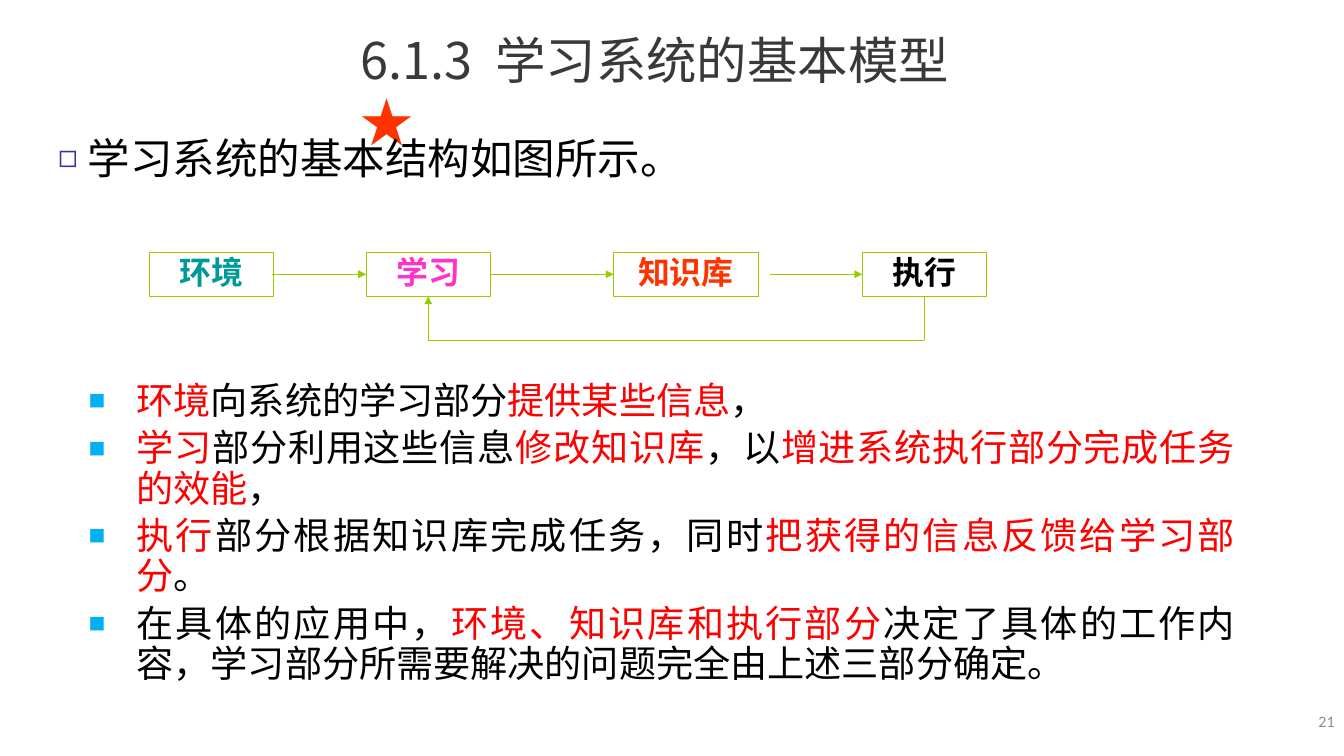
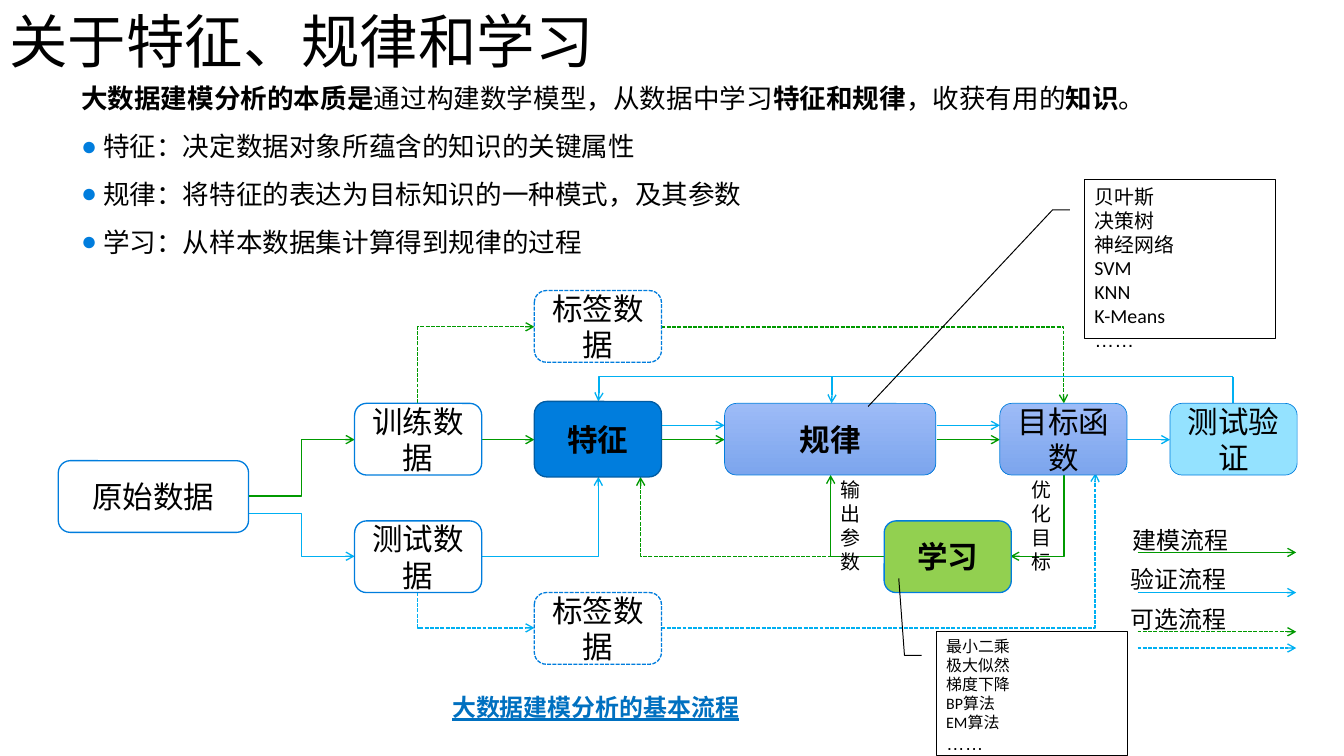
"""Build two slides on learning systems and the big-data modelling workflow."""
from lxml import etree
from pptx import Presentation
from pptx import util as u
from pptx.dml.color import RGBColor
from pptx.enum import dml, shapes, text
from pptx.oxml.ns import qn

C = {
    "black": "000000", "white": "FFFFFF", "title": "3B3838", "number": "8C8C8C",
    "star": "FF3300", "red": "FF0000", "teal": "009999", "pink": "FF33CC",
    "lime": "99CC00", "navy": "333399", "sky": "00B0F2", "blue": "007DDD",
    "deep": "005CA3", "green": "009900", "leaf": "92D050", "ice": "94E2FF",
    "top": "9DBBF7", "bottom": "7CA5ED", "caption": "0070C0",
}
CJK = "Noto Sans CJK SC"
BODY = "Calibri"
ALIGN = {"l": text.PP_ALIGN.LEFT, "c": text.PP_ALIGN.CENTER,
         "r": text.PP_ALIGN.RIGHT, "j": text.PP_ALIGN.JUSTIFY}
ANCHOR = {"t": text.MSO_ANCHOR.TOP, "m": text.MSO_ANCHOR.MIDDLE}
SHAPE = shapes.MSO_SHAPE
DASH = dml.MSO_LINE.SQUARE_DOT
DOWN_FIRST, MIDWAY, ACROSS_FIRST = 0, 50000, 99900


def rgb(name):
    return RGBColor.from_string(C[name])


def add_xml(parent, tag, **attrs):
    return etree.SubElement(parent, qn(tag), attrs)


def add_bullet(p, char, color, hang, percent):
    pPr = p._p.get_or_add_pPr()
    pPr.set("marL", str(u.Inches(hang)))
    pPr.set("indent", str(-u.Inches(hang)))
    add_xml(add_xml(pPr, "a:buClr"), "a:srgbClr", val=C[color])
    add_xml(pPr, "a:buSzPct", val=str(percent * 1000))
    add_xml(pPr, "a:buFont", typeface="Arial")
    add_xml(pPr, "a:buChar", char=char)


def add_run(p, content, font=CJK, size=18, color="black", bold=False, underline=False):
    r = p.add_run()
    r.text = content
    r.font.name, r.font.size = font, u.Pt(size)
    r.font.bold, r.font.underline = bold, underline
    r.font.color.rgb = rgb(color)
    add_xml(r._r.get_or_add_rPr(), "a:ea", typeface="Arial" if font == "Arial" else BODY)


def write(sp, lines, align="l", anchor="t", inset=(0.1, 0.05), wrap=True,
          spacing=None, before=0, bullet=None, emph=None, **fmt):
    """Fill a shape with paragraphs; parts between asterisks take the emph format."""
    tf = sp.text_frame
    tf.word_wrap, tf.vertical_anchor = wrap, ANCHOR[anchor]
    tf.margin_left = tf.margin_right = u.Inches(inset[0])
    tf.margin_top = tf.margin_bottom = u.Inches(inset[1])
    for i, line in enumerate(lines):
        p = tf.add_paragraph() if i else tf.paragraphs[0]
        p.alignment = ALIGN[align]
        p._p.get_or_add_pPr().set("hangingPunct", "0")
        if spacing:
            p.line_spacing = spacing
        if before and i:
            p.space_before = u.Pt(before)
        if bullet:
            add_bullet(p, *bullet)
        for k, part in enumerate(line.split("*")):
            if part:
                add_run(p, part, **{**fmt, **((emph or {}) if k % 2 else {})})


def add_text(s, at, lines, **fmt):
    sp = s.shapes.add_textbox(*map(u.Inches, at))
    write(sp, lines, **fmt)
    return sp


def add_box(s, at, lines, kind=SHAPE.ROUNDED_RECTANGLE, fill="white", line="blue",
            width=1, dash=None, **fmt):
    sp = s.shapes.add_shape(kind, *map(u.Inches, at))
    sp.shadow.inherit = False
    if isinstance(fill, tuple):
        sp.fill.gradient()
        sp.fill.gradient_angle = 270
        for stop, name in zip(sp.fill.gradient_stops, fill):
            stop.color.rgb = rgb(name)
    else:
        sp.fill.solid()
        sp.fill.fore_color.rgb = rgb(fill)
    sp.line.color.rgb, sp.line.width = rgb(line), u.Pt(width)
    if dash:
        sp.line.dash_style = dash
    write(sp, lines, **fmt)
    return sp


def add_line(s, start, end, color, width=1, dash=None, arrow="arrow", bend=None):
    """Draw a straight line, or an elbow whose turn lies at the given bend."""
    straight = bend is None
    kind = shapes.MSO_CONNECTOR.STRAIGHT if straight else shapes.MSO_CONNECTOR.ELBOW
    cx = s.shapes.add_connector(kind, *map(u.Inches, (*start, *end)))
    if not straight:
        guides = cx._element.spPr.find(qn("a:prstGeom")).find(qn("a:avLst"))
        add_xml(guides, "a:gd", name="adj1", fmla=f"val {bend}")
    cx.line.color.rgb, cx.line.width = rgb(color), u.Pt(width)
    if dash:
        cx.line.dash_style = dash
    if arrow:
        add_xml(cx.line._get_or_add_ln(), "a:tailEnd", type=arrow)
    add_xml(cx._element.spPr, "a:effectLst")


def add_callout(s, at, lines, adjustments, **fmt):
    sp = add_box(s, at, lines, kind=SHAPE.LINE_CALLOUT_2, line="black", width=0.75,
                 font=BODY, **fmt)
    for i, value in enumerate(adjustments):
        sp.adjustments[i] = value


def model_slide(s):
    add_text(s, (10.9, 7.33, 3.16, 0.42), ["21"], align="r", anchor="m",
             font=BODY, size=12, color="number")
    add_text(s, (3.66, 0.25, 6.97, 0.78), ["6.1.3  学习系统的基本模型", "*★*"],
             inset=(0.11, 0.05), size=38, color="title",
             emph={"size": 40, "color": "star"})
    add_text(s, (0.51, 1.39, 8.5, 0.63), ["学习系统的基本结构如图所示。"], align="j",
             spacing=0.9, size=32, bullet=("◻", "navy", 0.31, 75))

    top, height, mid, low = 2.64, 0.46, 2.87, 3.56
    for left, width, label, color in (
            (1.56, 1.3, "环境", "teal"), (3.83, 1.3, "学习", "pink"),
            (6.42, 1.51, "知识库", "star"), (9.02, 1.3, "执行", "black")):
        add_box(s, (left, top, width, height), [label], kind=SHAPE.RECTANGLE,
                line="lime", width=0.75, align="c", inset=(0, 0),
                font="Times New Roman", size=24, bold=True, color=color)
    base = top + height
    for start, end, arrow in (
            ((2.85, mid), (3.83, mid), "triangle"),
            ((5.13, mid), (6.42, mid), "triangle"),
            ((8.05, mid), (9.02, mid), "triangle"),
            ((9.67, base), (9.67, low), None),
            ((9.67, low), (4.48, low), None),
            ((4.48, low), (4.48, base), "triangle")):
        add_line(s, start, end, "lime", width=0.75, arrow=arrow)

    add_text(s, (0.83, 3.95, 12.19, 3.5), [
        "*环境*向系统的学习部分*提供某些信息*，",
        "*学习*部分利用这些信息*修改知识库*，以*增进系统执行部分完成任务的效能*，",
        "*执行*部分根据知识库完成任务，同时*把获得的信息反馈给学习部分*。",
        "在具体的应用中，*环境、知识库和执行部分*决定了具体的工作内容，"
        "学习部分所需要解决的问题完全由上述三部分确定。",
    ], align="j", spacing=0.9, before=5.6, size=28, emph={"color": "red"},
        bullet=("■", "sky", 0.5, 75))


def flow_lines(s):
    row, test, label, label2, back = 4.6, 5.82, 3.42, 6.57, 3.94
    upper = 4.45
    for start, end, color, dash, bend in (
            ((9.25, test), (6.7, 4.99), "green", DASH, ACROSS_FIRST),
            ((4.37, 4.22), (5.59, label), "green", DASH, DOWN_FIRST),
            ((6.92, label), (11.13, 4.22), "green", DASH, ACROSS_FIRST),
            ((2.6, 5.19), (3.71, row), "green", None, MIDWAY),
            ((5.04, row), (5.59, row), "green", None, None),
            ((6.92, row), (7.58, row), "green", None, None),
            ((9.8, row), (10.46, row), "green", None, None),
            ((11.13, 4.97), (10.57, test), "green", None, DOWN_FIRST),
            ((9.25, test), (8.69, 4.97), "green", None, ACROSS_FIRST),
            ((2.6, 5.37), (3.71, test), "sky", None, MIDWAY),
            ((5.04, test), (6.26, 4.99), "sky", None, ACROSS_FIRST),
            ((6.92, upper), (7.58, upper), "sky", None, None),
            ((9.8, upper), (10.46, upper), "sky", None, None),
            ((11.79, row), (12.24, row), "sky", None, None),
            ((4.37, 6.2), (5.59, label2), "sky", DASH, DOWN_FIRST),
            ((6.92, label2), (11.46, 4.95), "sky", DASH, ACROSS_FIRST),
            ((12.9, back), (6.26, 4.2), "sky", None, ACROSS_FIRST),
            ((12.9, back), (8.7, 4.22), "sky", None, ACROSS_FIRST)):
        add_line(s, start, end, color, dash=dash, bend=bend)
    add_line(s, (12.9, 4.22), (12.9, back), "sky", arrow=None)


def workflow_slide(s):
    add_text(s, (0, 0.05, 12.66, 0.83), ["关于特征、规律和学习"], anchor="m",
             spacing=0.9, font=BODY, size=44)
    sp = add_text(s, (0.72, 0.8, 12.73, 1.92), [
        "*大数据建模分析的本质是*通过构建数学模型，从数据中学习*特征和规律*，收获有用的*知识*。",
        "特征：决定数据对象所蕴含的知识的关键属性",
        "规律：将特征的表达为目标知识的一种模式，及其参数",
        "学习：从样本数据集计算得到规律的过程",
    ], inset=(0.13, 0.06), size=20, emph={"bold": True})
    for p in sp.text_frame.paragraphs[1:]:
        p.line_spacing = 1.5
        add_bullet(p, "●", "blue", 0.23, 100)

    flow_lines(s)
    shade = ("top", "bottom")
    w, h = 1.33, 0.75
    for at, label, style in (
            ((0.61, 4.82, 1.99, h), "原始数据", {}),
            ((5.59, 4.2, w, 0.79), "特征", {"fill": "blue", "line": "deep", "bold": True}),
            ((7.58, 4.22, 2.21, h), "规律", {"fill": shade, "width": 0.5, "bold": True}),
            ((3.71, 4.22, w, h), "训练数据", {}),
            ((3.71, 5.45, w, h), "测试数据", {}),
            ((9.25, 5.45, w, h), "学习", {"fill": "leaf", "bold": True}),
            ((10.46, 4.22, w, h), "目标函数", {"fill": shade, "width": 0.5}),
            ((5.59, 3.04, w, h), "标签数据", {"dash": DASH}),
            ((5.59, 6.2, w, h), "标签数据", {"dash": DASH}),
            ((12.24, 4.22, w, h), "测试验证", {"fill": "ice", "width": 0.5})):
        add_box(s, at, [label], align="c", anchor="m", size=23, **style)
    for left, label in ((8.69, "输出参数"), (10.69, "优化目标")):
        add_text(s, (left, 4.95, 0.33, 1.11), [label], size=15)

    for y, color, dash in ((5.78, "green", None), (6.2, "sky", None),
                           (6.61, "green", DASH), (6.78, "sky", DASH)):
        add_line(s, (11.9, y), (13.56, y), color, dash=dash)
    for left, top, label in ((11.75, 5.45, "建模流程"), (11.73, 5.86, "验证流程"),
                             (11.73, 6.28, "可选流程")):
        add_text(s, (left, top, 1.21, 0.4), [label], wrap=False)

    add_callout(s, (11.35, 1.88, 1.99, 1.66),
                ["*贝叶斯*", "决策树", "*神经网络*", "SVM", "KNN", "K-Means", "*……*"],
                (0.19, -0.08, 0.19, -0.17, 1.43, -1.14), size=15, emph={"font": "Arial"})
    add_callout(s, (9.8, 6.61, 1.99, 1.3),
                ["最小二乘", "极大似然", "梯度下降", "BP算法", "EM算法", "*……*"],
                (0.19, -0.08, 0.19, -0.17, -0.43, -0.2), size=12,
                emph={"font": "Arial", "size": 14})
    add_text(s, (4.6, 7.19, 3.28, 0.43), ["大数据建模分析的基本流程"], wrap=False,
             inset=(0.13, 0.06), color="caption", bold=True, underline=True)


def main():
    prs = Presentation()
    prs.slide_width, prs.slide_height = u.Inches(14.06), u.Inches(7.91)
    for build in (model_slide, workflow_slide):
        build(prs.slides.add_slide(prs.slide_layouts[6]))
    prs.save("out.pptx")


if __name__ == "__main__":
    main()
